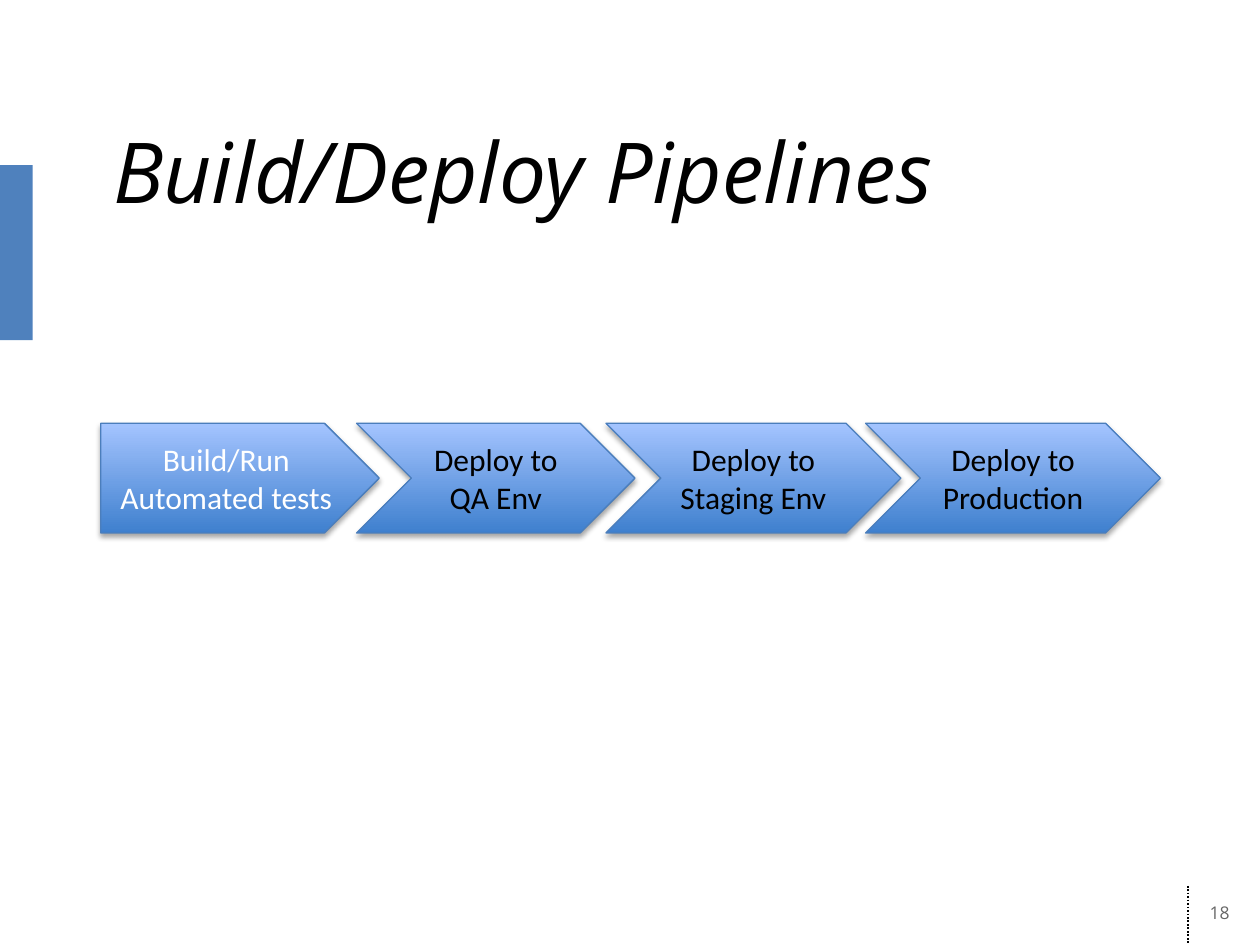
"""Build a slide that shows the stages of a build and deploy pipeline."""
import pptx
import pptx.dml.color
import pptx.enum.dml
import pptx.enum.shapes
import pptx.enum.text
import pptx.oxml
import pptx.oxml.ns
import pptx.util

Inches = pptx.util.Inches
Pt = pptx.util.Pt
RGBColor = pptx.dml.color.RGBColor
Shape = pptx.enum.shapes.MSO_SHAPE
Align = pptx.enum.text.PP_ALIGN
Anchor = pptx.enum.text.MSO_ANCHOR

BLACK = RGBColor(0x00, 0x00, 0x00)
WHITE = RGBColor(0xFF, 0xFF, 0xFF)
GRAY = RGBColor(0x66, 0x66, 0x66)
BLUE = RGBColor(0x4F, 0x81, 0xBD)
EDGE = RGBColor(0x4B, 0x7E, 0xBC)
DARK = RGBColor(0x3F, 0x80, 0xCE)
LIGHT = RGBColor(0xA4, 0xC4, 0xFF)

STAGES = [
    (Shape.PENTAGON, 0.8, 2.21, "Build/Run Automated tests", WHITE),
    (Shape.CHEVRON, 2.83, 2.21, "Deploy to QA Env", BLACK),
    (Shape.CHEVRON, 4.81, 2.34, "Deploy to Staging Env", BLACK),
    (Shape.CHEVRON, 6.87, 2.34, "Deploy to Production", BLACK),
]
SPACE = pptx.oxml.ns.nsdecls("a")
PLAIN = f"<a:effectLst {SPACE}/>"
SHADOW = (
    f'<a:outerShdw {SPACE} blurRad="40000" dist="23000" '
    'dir="5400000" rotWithShape="0"><a:srgbClr val="000000">'
    '<a:alpha val="35000"/></a:srgbClr></a:outerShdw>'
)


def box(at):
    return [Inches(n) for n in at]


def write(frame, text, font, size, color, align=Align.CENTER, slant=False):
    para = frame.paragraphs[0]
    para.alignment = align
    run = para.add_run()
    run.text = text
    run.font.name = font
    run.font.size = Pt(size)
    run.font.italic = slant
    run.font.color.rgb = color


def add_bar(slide, at):
    bar = slide.shapes.add_shape(Shape.RECTANGLE, *box(at))
    bar.shadow.inherit = False
    bar.fill.solid()
    bar.fill.fore_color.rgb = BLUE
    bar.line.fill.background()


def add_title(slide, at, text):
    frame = slide.shapes.add_textbox(*box(at)).text_frame
    frame.word_wrap = True
    frame.vertical_anchor = Anchor.MIDDLE
    write(frame, text, "Open Sans", 48, BLACK, Align.LEFT, slant=True)


def add_number(slide, at, text):
    frame = slide.shapes.add_textbox(*box(at)).text_frame
    frame.word_wrap = False
    frame.margin_left = frame.margin_right = 0
    write(frame, text, "Open Sans", 10, GRAY)


def add_rule(slide, ends):
    kind = pptx.enum.shapes.MSO_CONNECTOR.STRAIGHT
    rule = slide.shapes.add_connector(kind, *box(ends))
    rule.line.color.rgb = BLACK
    rule.line.width = Pt(1)
    rule.line.dash_style = pptx.enum.dml.MSO_LINE.ROUND_DOT
    rule._element.spPr.append(pptx.oxml.parse_xml(PLAIN))


def add_stage(slide, kind, left, width, text, color):
    stage = slide.shapes.add_shape(kind, *box((left, 3.36, width, 0.87)))
    stage.fill.gradient()
    stage.fill.gradient_angle = 90
    for stop, tint in zip(stage.fill.gradient_stops, (DARK, LIGHT)):
        stop.color.rgb = tint
    stage.line.color.rgb = EDGE
    stage.line.width = Pt(0.75)
    stage.shadow.inherit = False
    effects = stage._element.spPr.find(pptx.oxml.ns.qn("a:effectLst"))
    effects.append(pptx.oxml.parse_xml(SHADOW))
    frame = stage.text_frame
    frame.word_wrap = True
    frame.vertical_anchor = Anchor.MIDDLE
    write(frame, text, "Calibri", 18, color)


def main():
    deck = pptx.Presentation()
    deck.slide_width, deck.slide_height = Inches(10), Inches(7.5)
    slide = deck.slides.add_slide(deck.slide_layouts[6])
    add_bar(slide, (0, 1.31, 0.26, 1.39))
    add_number(slide, (9.55, 7.11, 0.26, 0.29), "18")
    add_rule(slide, (9.43, 7.03, 9.43, 7.5))
    add_title(slide, (0.8, 0.72, 8.7, 1.25), "Build/Deploy Pipelines")
    for stage in STAGES:
        add_stage(slide, *stage)
    deck.save("out.pptx")


if __name__ == "__main__":
    main()
